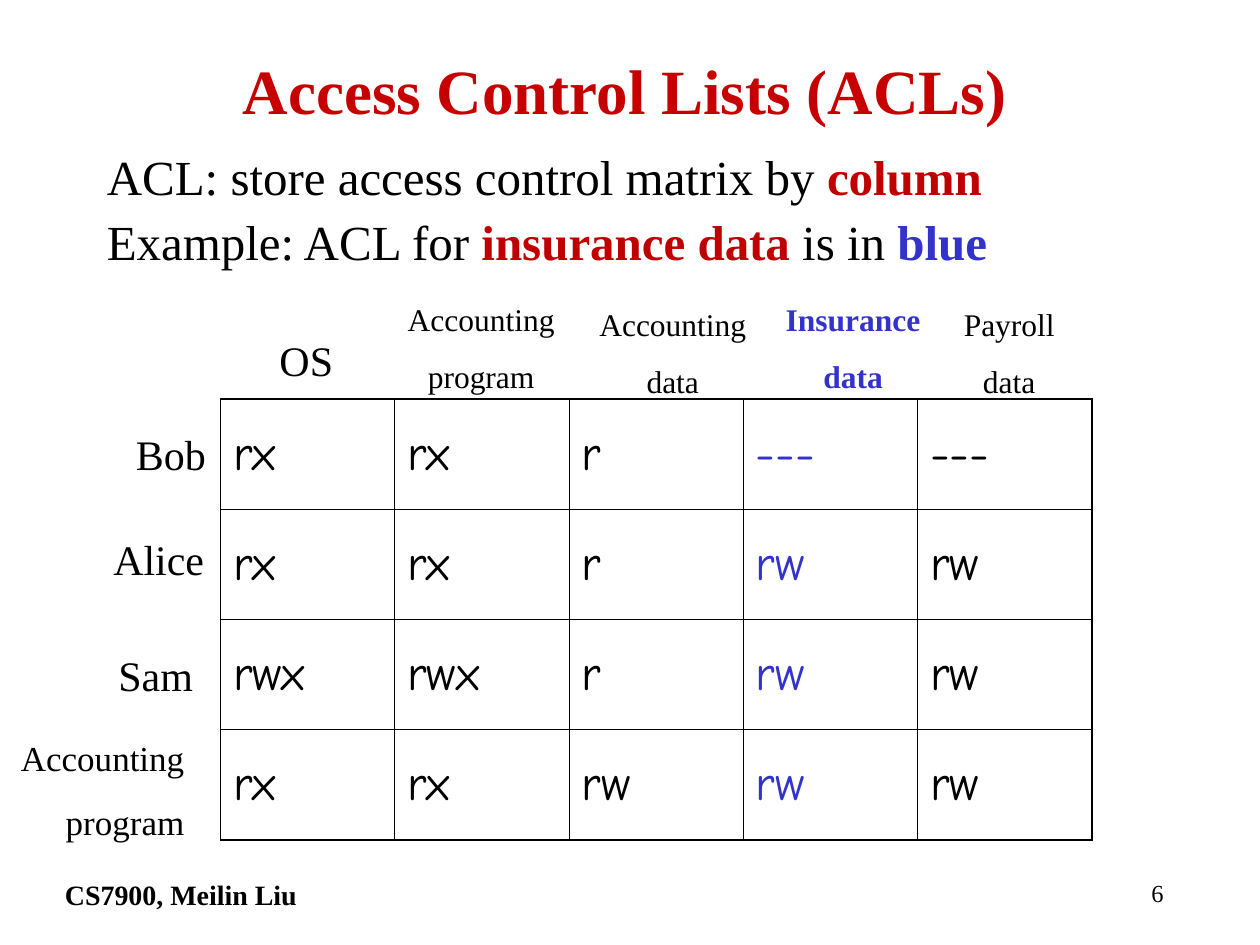
from dataclasses import dataclass
from lxml.etree import SubElement
from pptx import Presentation
from pptx.dml.color import RGBColor as RGB
from pptx.enum.text import MSO_ANCHOR as Anchor, MSO_AUTO_SIZE as Fit, PP_ALIGN as Align
from pptx.oxml.ns import qn
from pptx.util import Pt


@dataclass(frozen=True)
class Theme:
    serif: str = "Times New Roman"
    hand: str = "Comic Neue"
    black: RGB = RGB(0, 0, 0)
    title: RGB = RGB(0xC6, 0, 0)
    red: RGB = RGB(0xC0, 0, 0)
    blue: RGB = RGB(0x33, 0x33, 0xCC)
    head: int = 36
    body: int = 28
    label: int = 24
    side: int = 20
    small: int = 18
    foot: int = 16
    page: int = 14
    thin: float = 0.45
    thick: float = 1.08


T = Theme()
BLUE_COL = 3

RIGHTS = [
    ["rx", "rx", "r", "---", "---"],
    ["rx", "rx", "r", "rw", "rw"],
    ["rwx", "rwx", "r", "rw", "rw"],
    ["rx", "rx", "rw", "rw", "rw"],
]

# Text, offset from the grid's top left, width, size, alignment
COL_TAGS = [
    ("OS", 25, -40.5, 48, T.label, Align.CENTER),
    ("Accounting\nprogram", 98, -60.2, 102, T.small, Align.CENTER),
    ("Accounting\ndata", 207.5, -57.4, 102, T.small, Align.CENTER),
    ("Insurance\ndata", 314, -60.2, 95, T.small, Align.CENTER),
    ("Payroll\ndata", 415.7, -57.4, 70, T.small, Align.CENTER),
]
ROW_TAGS = [
    ("Bob", -57.4, 13.2, 58, T.label, Align.CENTER),
    ("Alice", -70.3, 73.3, 70, T.label, Align.CENTER),
    ("Sam", -67, 139.5, 60, T.label, Align.CENTER),
    ("Accounting\nprogram", -124.5, 189.2, 111, T.side, Align.RIGHT),
]


def style(para, size, color=T.black, bold=False, face=T.serif, align=Align.LEFT):
    para.alignment = align
    font = para.font
    font.name, font.size, font.bold = face, Pt(size), bold
    font.color.rgb = color


def add_box(slide, box, wrap=True):
    frame = slide.shapes.add_textbox(*map(Pt, box)).text_frame
    frame.word_wrap = wrap
    return frame


def add_title(slide, box):
    shape = slide.shapes.title
    shape.left, shape.top, shape.width, shape.height = map(Pt, box)
    frame = shape.text_frame
    frame.text = "Access Control Lists (ACLs)"
    frame.vertical_anchor = Anchor.MIDDLE
    style(frame.paragraphs[0], T.head, T.title, True, align=Align.CENTER)


def add_body(slide, box):
    lines = [
        [("ACL: store access control matrix by ", None), ("column", T.red)],
        [("Example: ACL for ", None), ("insurance data ", T.red),
         ("is in ", None), ("blue", T.blue)],
    ]
    frame = add_box(slide, box)
    for i, line in enumerate(lines):
        para = frame.add_paragraph() if i else frame.paragraphs[0]
        style(para, T.body)
        para.line_spacing = 0.9
        para.space_before = Pt(7 if i else 0)
        for text, color in line:
            run = para.add_run()
            run.text = text
            if color:
                run.font.bold = True
                run.font.color.rgb = color


def add_edge(cell, side, width):
    line = SubElement(cell._tc.get_or_add_tcPr(), qn(f"a:ln{side}"), w=str(Pt(width)))
    fill = SubElement(line, qn("a:solidFill"))
    SubElement(fill, qn("a:srgbClr"), val=str(T.black))


def add_grid(slide, box):
    left, top, width, height = box
    rows, cols = len(RIGHTS), len(RIGHTS[0])
    table = slide.shapes.add_table(rows, cols, *map(Pt, box)).table
    table.first_row = table.horz_banding = False
    for col in table.columns:
        col.width = Pt(width / cols)
    for r, row in enumerate(RIGHTS):
        table.rows[r].height = Pt(height / rows)
        for c, text in enumerate(row):
            cell = table.cell(r, c)
            cell.text = text
            cell.vertical_anchor = Anchor.MIDDLE
            color = T.blue if c == BLUE_COL else T.black
            style(cell.text_frame.paragraphs[0], T.body, color, face=T.hand)
            # Thick outer frame, thin inner rules
            outer = {"L": c == 0, "R": c == cols - 1, "T": r == 0, "B": r == rows - 1}
            for side, edge in outer.items():
                add_edge(cell, side, T.thick if edge else T.thin)
            cell.fill.background()

    # Labels above and beside the grid
    for i, tag in enumerate(COL_TAGS):
        add_tag(slide, (left, top), tag, i == BLUE_COL)
    for tag in ROW_TAGS:
        add_tag(slide, (left, top), tag)


def add_tag(slide, origin, tag, marked=False):
    text, x, y, width, size, align = tag
    lines = text.split("\n")
    gap = size * 0.625
    height = 7.2 + len(lines) * size * 1.15 + (len(lines) - 1) * gap
    frame = add_box(slide, (origin[0] + x, origin[1] + y, width, height), wrap=False)
    frame.auto_size = Fit.SHAPE_TO_FIT_TEXT
    frame.text = text
    for i, para in enumerate(frame.paragraphs):
        style(para, size, T.blue if marked else T.black, marked, align=align)
        para.space_before = Pt(gap if i else 0)


def add_foot(slide, box):
    left, top, width, height = box
    note = add_box(slide, (left, top, 456, height))
    note.text = "CS7900, Meilin Liu"
    style(note.paragraphs[0], T.foot, bold=True)
    page = add_box(slide, (left + width - 150, top, 150, height))
    page.text = "6"
    style(page.paragraphs[0], T.page, align=Align.RIGHT)


def main():
    deck = Presentation()
    deck.slide_width, deck.slide_height = Pt(720), Pt(540)
    slide = deck.slides.add_slide(deck.slide_layouts[5])
    add_title(slide, (48, 24, 618, 54))
    add_body(slide, (54, 84, 618, 90))
    add_grid(slide, (126, 228, 498, 252))
    add_foot(slide, (30, 498, 642, 30))
    deck.save("out.pptx")


if __name__ == "__main__":
    main()
